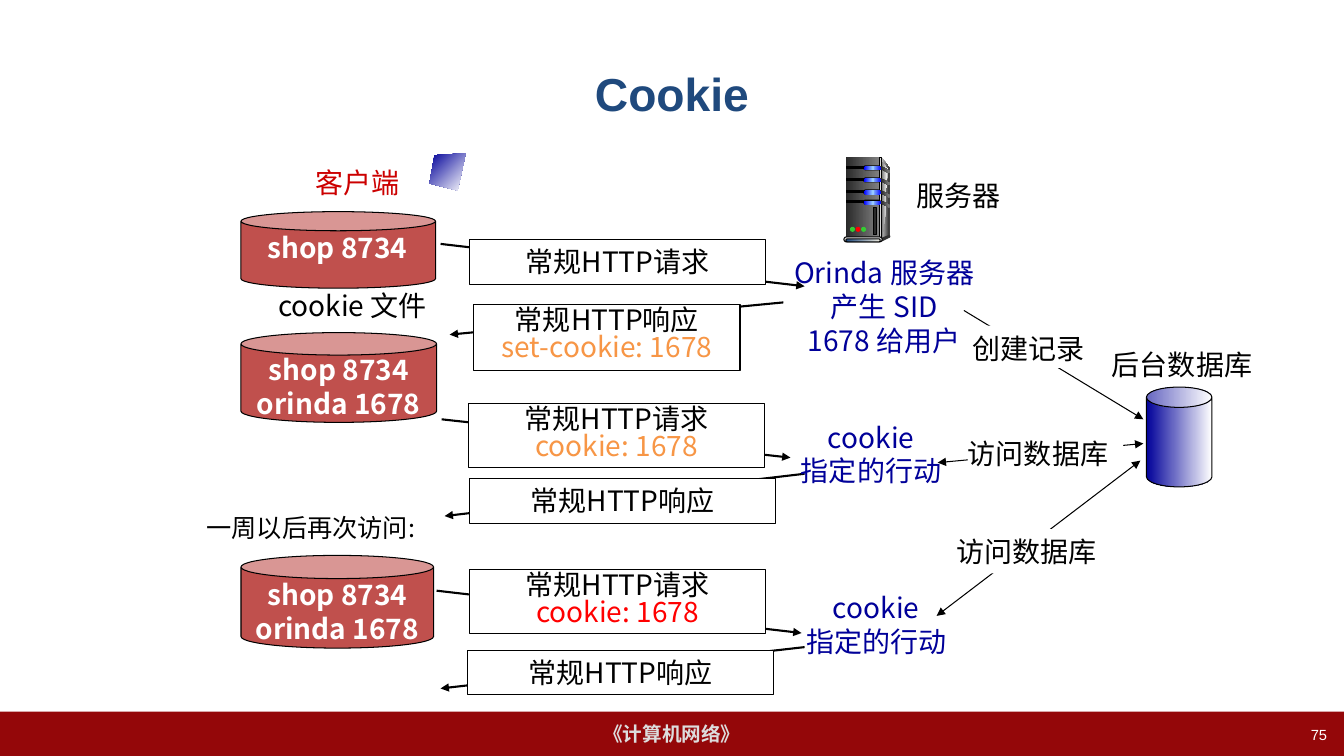
from copy import deepcopy

from lxml import etree
from pptx import Presentation
from pptx import util as u
from pptx.dml.color import RGBColor
from pptx.enum import shapes as sh
from pptx.enum import text as tx
from pptx.oxml.ns import qn

W, H = 13.33, 7.5
COLORS = dict(
    black="000000", white="FFFFFF", bar="940709", pale="DDDDDD", title="1F497D", client="CC0000",
    can="C0504D", navy="000099", orange="F79646", red="FF0000", coal="292929", dark="333333",
    grey="808080", mist="F8F8F8", blue="0000FF", sky="99CCFF", green="33CC33", sand="EEECE1")
SANS, CJK = "Arial", "Noto Sans CJK SC"
LEFT, CENTER, RIGHT = tx.PP_ALIGN.LEFT, tx.PP_ALIGN.CENTER, tx.PP_ALIGN.RIGHT
TOP, MIDDLE = tx.MSO_ANCHOR.TOP, tx.MSO_ANCHOR.MIDDLE
RECT, CAN = sh.MSO_SHAPE.RECTANGLE, sh.MSO_SHAPE.CAN
PILL, OVAL = sh.MSO_SHAPE.ROUNDED_RECTANGLE, sh.MSO_SHAPE.OVAL


def rgb(name):
    """Return the named colour."""
    return RGBColor.from_string(COLORS[name])


def inches(*lengths):
    """Turn lengths in inches into slide units."""
    return [u.Inches(length) for length in lengths]


def paint(shape, fill, line=None, angle=0):
    """Fill a shape with one colour or an even gradient, and outline it."""
    shape.shadow.inherit = False
    if isinstance(fill, str):
        shape.fill.solid()
        shape.fill.fore_color.rgb = rgb(fill)
    else:
        shape.fill.gradient()
        shape.fill.gradient_angle = angle
        first = shape._element.spPr.find(".//" + qn("a:gs"))
        for _ in fill[2:]:
            first.addnext(deepcopy(first))
        for order, (stop, name) in enumerate(zip(shape.fill.gradient_stops, fill)):
            stop.position = order / (len(fill) - 1)
            stop.color.rgb = rgb(name)
    if line:
        shape.line.color.rgb = rgb(line)
        shape.line.width = u.Pt(0.75)
    else:
        shape.line.fill.background()
    return shape


def preset(slide, kind, box, fill, line=None, adjust=None):
    """Add a painted preset shape."""
    shape = slide.shapes.add_shape(kind, *inches(*box))
    if adjust is not None:
        shape.adjustments[0] = adjust
    return paint(shape, fill, line)


def outline(slide, origin, points, fill, angle=0):
    """Add a polygon whose points are hundredths of an inch from the origin."""
    builder = slide.shapes.build_freeform(*points[0], scale=9144)
    builder.add_line_segments(points[1:], close=True)
    return paint(builder.convert_to_shape(*inches(*origin)), fill, angle=angle)


def write(shape, lines, align=LEFT, anchor=TOP, wrap=True, inset=True, spacing=None,
          size=20, name=CJK, bold=False):
    """Write (wording, colour) lines into a shape."""
    frame = shape.text_frame
    frame.word_wrap, frame.vertical_anchor = wrap, anchor
    if not inset:
        for side in ("left", "top", "right", "bottom"):
            setattr(frame, "margin_" + side, 0)
    for order, (wording, color) in enumerate(lines):
        para = frame.add_paragraph() if order else frame.paragraphs[0]
        para.alignment, para.line_spacing = align, spacing
        run = para.add_run()
        run.text = wording
        run.font.color.rgb = rgb(color)
        for key, value in dict(size=u.Pt(size), name=name, bold=bold).items():
            setattr(run.font, key, value)
        east = etree.SubElement(run._r.get_or_add_rPr(), qn("a:ea"))
        east.set("typeface", CJK)


def label(slide, box, lines, **style):
    """Add a text box."""
    write(slide.shapes.add_textbox(*inches(*box)), lines, **style)


def arrow(slide, start, end, width=0.75, both=False):
    """Add an arrow, with a second head if it runs both ways."""
    link = slide.shapes.add_connector(sh.MSO_CONNECTOR.STRAIGHT, *inches(*start, *end))
    link.line.color.rgb = rgb("black")
    link.line.width = u.Pt(width)
    line = link.line._get_or_add_ln()
    for tag in ("a:headEnd", "a:tailEnd") if both else ("a:tailEnd",):
        etree.SubElement(line, qn(tag)).set("type", "triangle")
    etree.SubElement(link._element.spPr, qn("a:effectLst"))


def frame_slide(slide, box):
    """Place the title, the footer bar and the page number."""
    x, y, w, h = box
    bar = preset(slide, RECT, (x, y + h - 0.44, w, 0.44), "bar")
    write(bar, [("《计算机网络》", "pale")], CENTER, MIDDLE, False, size=14, name=SANS, bold=True)
    title = slide.shapes.title
    spot = inches(x + w * 0.05, y + h * 0.04, w * 0.9, 1.25)
    for key, value in zip(("left", "top", "width", "height"), spot):
        setattr(title, key, value)
    write(title, [("Cookie", "title")], CENTER, MIDDLE, size=33, name=SANS, bold=True)
    label(slide, (x + 10.15, y + 7.15, 3.11, 0.35), [("75", "white")],
          align=RIGHT, size=10.5, name=SANS)


def message(slide, box, start, end, lines):
    """Place a message over its arrow, whose ends are offsets from the box."""
    x, y = box[:2]
    arrow(slide, (x + start[0], y + start[1]), (x + end[0], y + end[1]), 1.5)
    write(preset(slide, RECT, box, "white", "black"), lines, CENTER,
          spacing=0.8 if len(lines) > 1 else None)


def cookie_file(slide, box, records, shift, drop):
    """Place a cookie file with its records."""
    x, y, w, h = box
    preset(slide, CAN, box, "can", "black", 0.25)
    label(slide, (x + shift, y + drop, w, h - drop), [(record, "white") for record in records],
          align=CENTER, inset=False, bold=True)


def client_side(slide, box):
    """Place the client heading, its screen and the cookie files."""
    x, y = box[:2]
    label(slide, (x + 1.08, y + 0.07, 1.04, 0.44), [("客户端", "client")], align=CENTER, wrap=False)
    outline(slide, (x + 2.31, y), [(36, 0), (5, 2), (0, 30), (28, 37)], ("navy", "white"), 315)
    label(slide, (x + 0.71, y + 1.29, 1.95, 0.44), [("cookie 文件", "black")])
    label(slide, (x, y + 3.51, 2.29, 0.4), [("一周以后再次访问:", "black")], wrap=False, size=18)
    for top, w, h, shift, drop, records in (
            (0.58, 1.93, 0.76, -0.01, 0.19, ["shop 8734"]),
            (1.78, 1.94, 0.89, 0, 0.2, ["shop 8734", "orinda 1678"]),
            (3.99, 1.91, 0.92, 0, 0.22, ["shop 8734", "orinda 1678"])):
        cookie_file(slide, (x + 0.44, y + top, w, h), records, shift, drop)


def messages(slide, box):
    """Place the requests and responses between client and server."""
    x, y = box[:2]
    request, response = ("常规HTTP请求", "black"), ("常规HTTP响应", "black")
    for left, top, w, h, start, end, lines in (
            (0.02, 2.37, 3.03, 0.44, (3.32, -0.05), (-0.25, 0.37), [response]),
            (0, 4.07, 3.03, 0.44, (3.34, -0.03), (-0.27, 0.38), [response]),
            (0.02, 0, 2.93, 0.44, (-0.29, 0.04), (3.32, 0.46), [request]),
            (0.06, 0.64, 2.64, 0.66, (3.07, -0.02), (-0.24, 0.3),
             [response, ("set-cookie: 1678", "orange")]),
            (0.01, 1.62, 2.93, 0.64, (-0.27, 0.16), (3.19, 0.54),
             [request, ("cookie: 1678", "orange")]),
            (0.02, 3.27, 2.93, 0.64, (-0.33, 0.21), (3.29, 0.63),
             [request, ("cookie: 1678", "red")])):
        message(slide, (x + left, y + top, w, h), start, end, lines)


def server_side(slide, box):
    """Place the server's actions, its links and the database."""
    x, y = box[:2]
    label(slide, (x + 1.41, y, 1.04, 0.44), [("服务器", "black")], align=CENTER, wrap=False)
    label(slide, (x, y + 0.77, 2.38, 1.11),
          [(step, "navy") for step in ("Orinda 服务器", "产生 SID", "1678 给用户")], align=CENTER)
    for left, top in ((0.26, 2.4), (0.31, 4.09)):
        label(slide, (x + left, y + top, 1.6, 0.77),
              [("cookie", "navy"), ("指定的行动", "navy")], align=CENTER, wrap=False)
    arrow(slide, (x + 1.98, y + 1.36), (x + 3.76, y + 2.44))
    preset(slide, RECT, (x + 2.14, y + 1.51, 1.05, 0.42), "white")
    label(slide, (x + 1.97, y + 1.6, 1.34, 0.35), [("创建记录", "black")], spacing=0.75)
    access = [("访问数据库", "black")]
    arrow(slide, (x + 1.72, y + 2.87), (x + 3.76, y + 2.68), both=True)
    write(preset(slide, RECT, (x + 2.02, y + 2.61, 1.54, 0.34), "white"), access, inset=False)
    arrow(slide, (x + 1.71, y + 4.39), (x + 3.73, y + 2.85), both=True)
    write(preset(slide, RECT, (x + 1.81, y + 3.53, 1.6, 0.44), "white"), access, wrap=False)
    label(slide, (x + 3.35, y + 1.68, 1.6, 0.44), [("后台数据库", "black")], wrap=False)
    preset(slide, CAN, (x + 3.79, y + 2.12, 0.65, 0.99), ("navy", "white"), "black", 0.31)


def server_tower(slide, box):
    """Draw the server cabinet."""
    x, y = box[:2]

    def part(kind, left, top, w, h, fill, line=None):
        """Add a cabinet part."""
        preset(slide, kind, (x + left, y + top, w, h), fill, line, 0.5 if kind == PILL else None)

    outline(slide, (x, y), [(37, 0), (45, 10), (45, 77), (36, 81)], ("pale", "dark"))
    part(RECT, 0.02, 0, 0.33, 0.8, ("coal", "grey"))
    outline(slide, (x, y), [(38, 5), (43, 11), (42, 50), (38, 79)], ("grey", "mist"))
    part(RECT, 0.35, 0, 0.02, 0.81, ("dark", "pale", "dark"), "black")
    for top in (0.08, 0.2, 0.32, 0.42):
        part(RECT, 0.03, top + 0.01, 0.19, 0.02, "black", "black")
        part(PILL, 0.19, top, 0.18, 0.05, "black")
        part(PILL, 0.2, top + 0.01, 0.17, 0.04, ("blue", "sky", "blue"))
        outline(slide, (x, y + top), [(37, 1), (45, 5), (45, 8), (37, 4)], ("coal", "grey"))
    part(OVAL, 0.44, 0.77, 0.02, 0.03, "dark")
    outline(slide, (x, y), [(37, 80), (37, 84), (45, 80), (45, 77)], "dark")
    part(PILL, 0, 0.79, 0.38, 0.05, "pale", "black")
    part(PILL, 0.02, 0.81, 0.34, 0.03, ("title", "sand"), "black")
    for order, lamp in enumerate(("green", "red", "green")):
        part(OVAL, 0.06 + order * 0.055, 0.69, 0.05, 0.05, lamp)
    part(RECT, 0.29, 0.5, 0.03, 0.27, "coal", "black")


def main():
    """Build the slide and save it."""
    deck = Presentation()
    deck.slide_width, deck.slide_height = inches(W, H)
    slide = deck.slides.add_slide(deck.slide_layouts[5])
    frame_slide(slide, (0, 0, W, H))
    client_side(slide, (1.95, 1.52, 2.68, 4.91))
    messages(slide, (4.64, 2.38, 3.05, 4.51))
    server_side(slide, (7.58, 1.72, 4.95, 4.86))
    server_tower(slide, (8.37, 1.56, 0.46, 0.84))
    deck.save("out.pptx")


if __name__ == "__main__":
    main()
